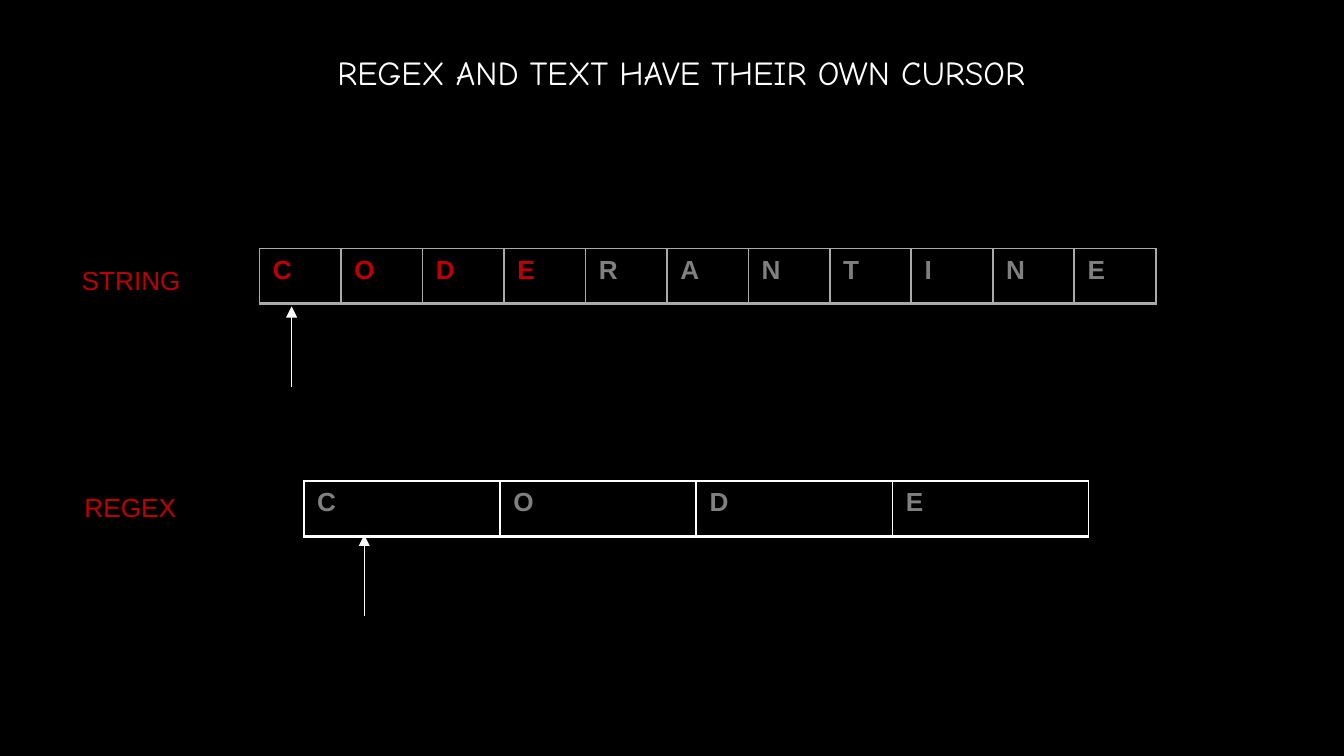
from dataclasses import dataclass

from lxml import etree
from pptx import Presentation
from pptx.dml.color import RGBColor
from pptx.enum import shapes, text
from pptx.oxml import ns
from pptx.util import Inches, Pt


@dataclass(frozen=True)
class Theme:
    back: str = "000000"
    white: str = "FFFFFF"
    arrow: str = "F9F9F9"
    red: str = "C00000"
    gray: str = "808080"
    grid: str = "AAAAAA"
    head: str = "Comic Neue"
    body: str = "Arial"
    big: int = 18
    small: int = 14


THEME = Theme()


def style(para, font, size, color, bold=False):
    for run in para.runs:
        run.font.name = font
        run.font.size = Pt(size)
        run.font.bold = bold
        run.font.color.rgb = RGBColor.from_string(color)


def add_title(slide, words):
    title = slide.shapes.title
    title.left, title.top = Inches(1), Inches(0.15)
    title.width, title.height = Inches(8.14), Inches(0.78)
    frame = title.text_frame
    frame.text = words
    frame.word_wrap = True
    frame.vertical_anchor = text.MSO_ANCHOR.MIDDLE
    para = frame.paragraphs[0]
    para.alignment = text.PP_ALIGN.CENTER
    style(para, THEME.head, THEME.big, THEME.white)


def add_label(slide, words, left, top, width):
    box = slide.shapes.add_textbox(
        Inches(left), Inches(top), Inches(width), Inches(0.34))
    frame = box.text_frame
    frame.text = words
    frame.word_wrap = False
    frame.auto_size = text.MSO_AUTO_SIZE.SHAPE_TO_FIT_TEXT
    style(frame.paragraphs[0], THEME.body, THEME.small, THEME.red)


def set_border(cell, color):
    """Line all four sides, with the bottom twice as thick."""
    props = cell._tc.get_or_add_tcPr()
    for spot, (side, width) in enumerate(zip("LRTB", (1, 1, 1, 2))):
        line = etree.Element(ns.qn(f"a:ln{side}"), w=str(Pt(width)))
        fill = etree.SubElement(line, ns.qn("a:solidFill"))
        etree.SubElement(fill, ns.qn("a:srgbClr"), val=color)
        props.insert(spot, line)


def add_strip(slide, word, left, top, width, line, hits=0):
    """Give each letter a cell; the first hits letters are red."""
    table = slide.shapes.add_table(
        1, len(word), Inches(left), Inches(top),
        Inches(width), Inches(0.41)).table
    table.first_row = table.horz_banding = False
    for spot, letter in enumerate(word):
        table.columns[spot].width = Inches(width / len(word))
        cell = table.cell(0, spot)
        cell.text = letter
        cell.fill.background()
        set_border(cell, line)
        color = THEME.red if spot < hits else THEME.gray
        style(cell.text_frame.paragraphs[0],
              THEME.body, THEME.small, color, bold=True)


def add_cursor(slide, x, tip):
    """Draw an arrow that points up at the tip."""
    arrow = slide.shapes.add_connector(
        shapes.MSO_CONNECTOR.STRAIGHT,
        Inches(x), Inches(tip + 0.6), Inches(x), Inches(tip))
    arrow.line.color.rgb = RGBColor.from_string(THEME.arrow)
    arrow.line.width = Pt(0.75)
    etree.SubElement(
        arrow.line._get_or_add_ln(), ns.qn("a:tailEnd"), type="triangle")
    etree.SubElement(arrow._element.spPr, ns.qn("a:effectLst"))


def main():
    deck = Presentation()
    deck.slide_width = Inches(10)
    deck.slide_height = deck.slide_width * 9 // 16
    slide = deck.slides.add_slide(deck.slide_layouts[5])
    fill = slide.background.fill
    fill.solid()
    fill.fore_color.rgb = RGBColor.from_string(THEME.back)

    add_title(slide, "REGEX AND TEXT HAVE THEIR OWN CURSOR")
    add_strip(slide, "CODERANTINE", 1.93, 1.85, 6.67, THEME.grid, hits=4)
    add_strip(slide, "CODE", 2.26, 3.58, 5.84, THEME.white)
    add_label(slide, "STRING", 0.51, 1.92, 0.94)
    add_label(slide, "REGEX", 0.53, 3.61, 0.89)
    add_cursor(slide, 2.17, 2.28)
    add_cursor(slide, 2.71, 3.98)
    deck.save("out.pptx")


if __name__ == "__main__":
    main()
